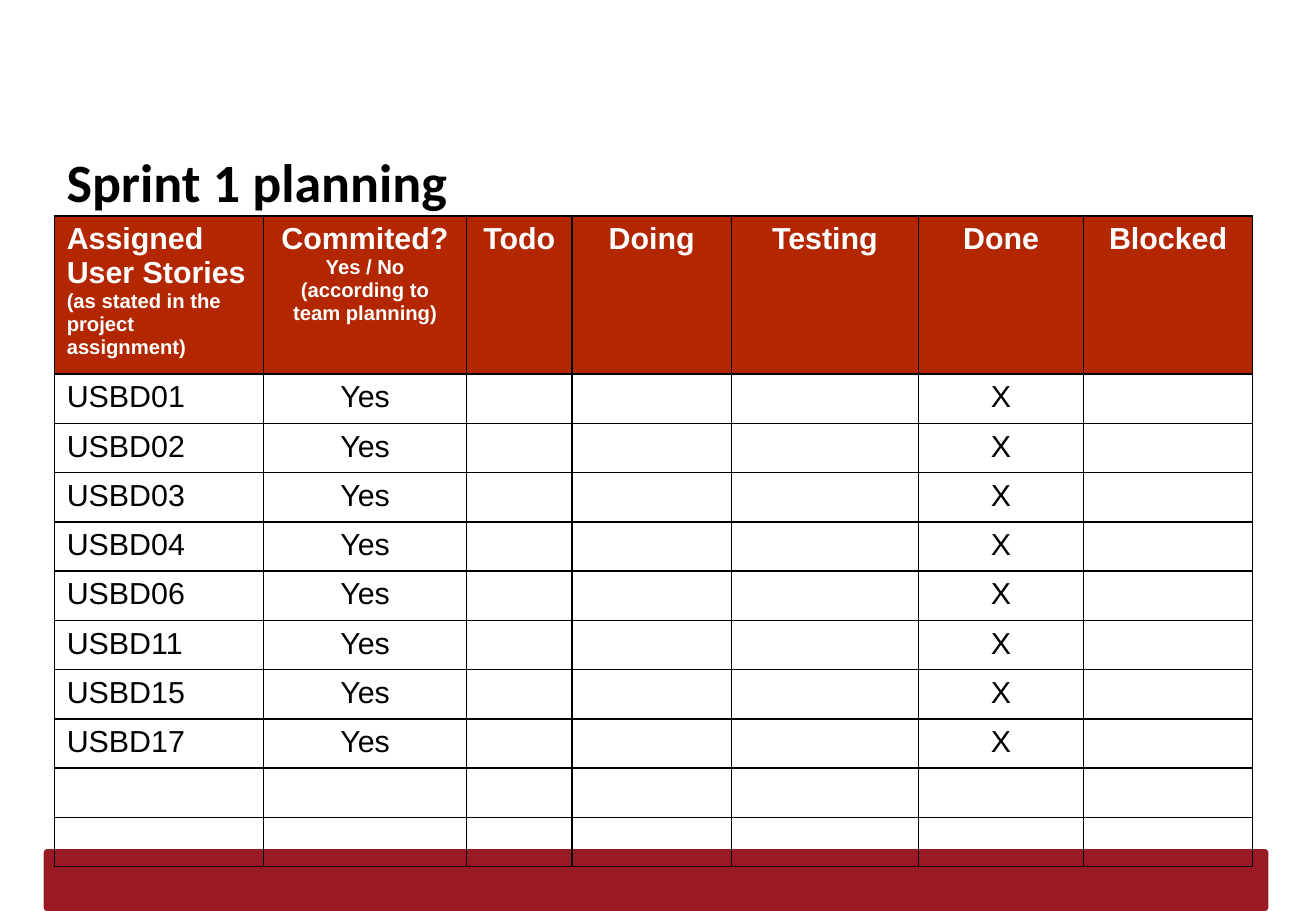
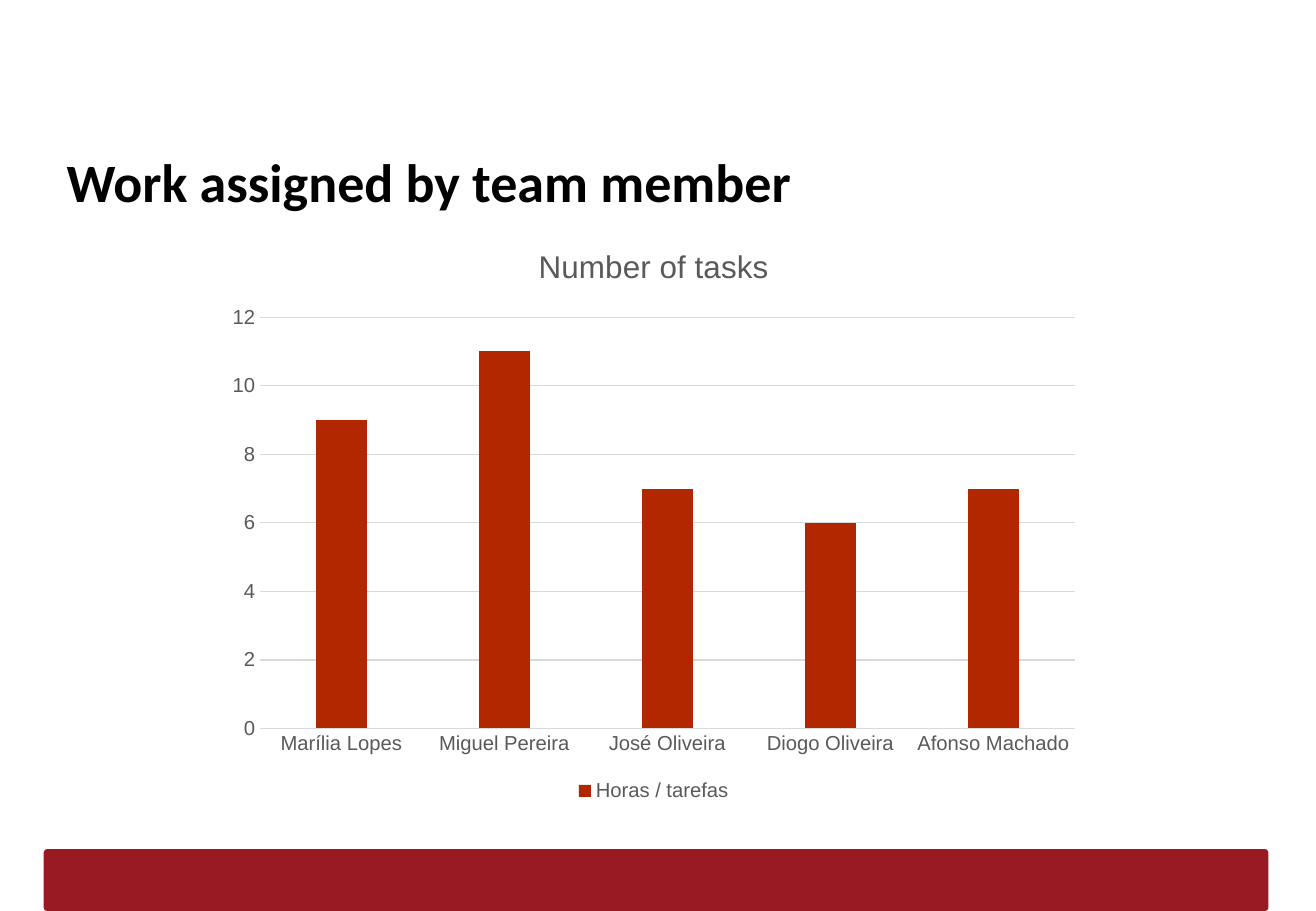
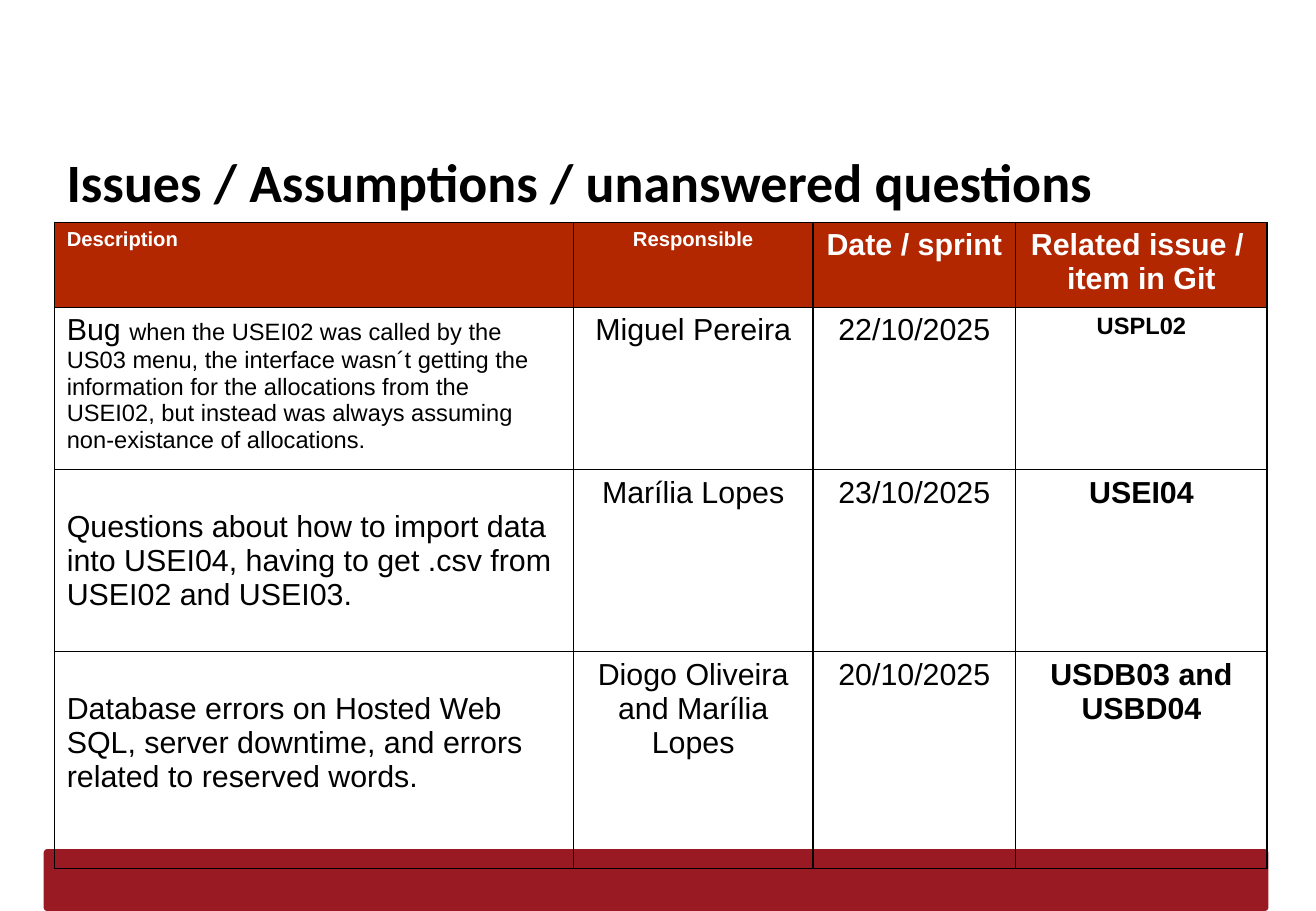
from dataclasses import dataclass

from lxml.etree import SubElement
from pptx import Presentation
from pptx.chart.data import CategoryChartData
from pptx.dml.color import RGBColor
from pptx.enum.chart import XL_CHART_TYPE, XL_LEGEND_POSITION, XL_TICK_MARK
from pptx.enum.shapes import MSO_SHAPE
from pptx.enum.text import PP_ALIGN
from pptx.oxml.ns import qn
from pptx.presentation import Presentation as Deck
from pptx.slide import Slide
from pptx.table import _Cell as TableCell
from pptx.text.text import Font
from pptx.util import Emu, Inches, Pt

WIDTH = Inches(10.83)
HEIGHT = Inches(7.5)
LEFT = 4.15

BAND_RED = RGBColor(0x9A, 0x1A, 0x24)
ACCENT_RED = RGBColor(0xB2, 0x26, 0x00)
BLACK = RGBColor(0x00, 0x00, 0x00)
WHITE = RGBColor(0xFF, 0xFF, 0xFF)
CHART_GREY = RGBColor(0x59, 0x59, 0x59)
GRID_GREY = RGBColor(0xD9, 0xD9, 0xD9)


@dataclass(frozen=True)
class Span:
    text: str
    size: float = 18


@dataclass(frozen=True)
class Entry:
    lines: tuple[tuple[Span, ...], ...] = ()
    bold: bool = False
    top_margin: float = 0.05


@dataclass(frozen=True)
class Grid:
    top: float
    columns: list[float]
    rows: list[float]
    entries: list[list[Entry]]


def across(percent: float) -> Emu:
    return Emu(round(WIDTH * percent / 100))


def down(percent: float) -> Emu:
    return Emu(round(HEIGHT * percent / 100))


def entry(*texts: str, size: float = 18, bold: bool = False, top_margin: float = 0.05) -> Entry:
    return Entry(tuple((Span(text, size),) for text in texts), bold, top_margin)


def style_font(font: Font, size: float, color: RGBColor, bold: bool = False, name: str = "Arial") -> None:
    font.name = name
    font.size = Pt(size)
    font.bold = bold
    font.color.rgb = color


def add_base_slide(presentation: Deck, title: str) -> Slide:
    slide = presentation.slides.add_slide(presentation.slide_layouts[6])
    band = slide.shapes.add_shape(
        MSO_SHAPE.ROUNDED_RECTANGLE, across(3.32), down(93.2), across(93.07), down(6.8)
    )
    band.adjustments[0] = 0.06
    band.shadow.inherit = False
    band.fill.solid()
    band.fill.fore_color.rgb = BAND_RED
    band.line.fill.background()

    frame = slide.shapes.add_textbox(across(LEFT), down(14.93), across(93.07), down(9.87)).text_frame
    frame.word_wrap = True
    frame.margin_left = frame.margin_right = frame.margin_top = frame.margin_bottom = Inches(0.1)
    paragraph = frame.paragraphs[0]
    paragraph.text = title
    style_font(paragraph.font, 32, BLACK, True, "Calibri")
    return slide


def add_borders(cell: TableCell) -> None:
    properties = cell._tc.get_or_add_tcPr()
    for index, side in enumerate(("lnL", "lnR", "lnT", "lnB")):
        line = SubElement(properties, qn(f"a:{side}"), w=str(Pt(1)))
        fill = SubElement(line, qn("a:solidFill"))
        SubElement(fill, qn("a:srgbClr"), val=str(BLACK))
        properties.insert(index, line)


def fill_cell(cell: TableCell, content: Entry, is_header: bool, is_first: bool) -> None:
    color = WHITE if is_header else BLACK
    if is_header:
        cell.fill.solid()
        cell.fill.fore_color.rgb = ACCENT_RED
    else:
        cell.fill.background()
    add_borders(cell)
    cell.margin_top = Inches(content.top_margin)
    frame = cell.text_frame
    for index, spans in enumerate(content.lines):
        paragraph = frame.add_paragraph() if index else frame.paragraphs[0]
        paragraph.alignment = PP_ALIGN.LEFT if is_first else PP_ALIGN.CENTER
        for span in spans:
            run = paragraph.add_run()
            run.text = span.text
            if len(spans) > 1:
                run.font.size = Pt(span.size)
        style_font(paragraph.font, spans[0].size, color, content.bold or is_header)


def add_grid(slide: Slide, grid: Grid) -> None:
    table = slide.shapes.add_table(
        len(grid.rows), len(grid.columns), across(LEFT), down(grid.top),
        across(sum(grid.columns)), down(sum(grid.rows)),
    ).table
    table.horz_banding = False
    for column, width in zip(table.columns, grid.columns):
        column.width = across(width)
    for row, height in zip(table.rows, grid.rows):
        row.height = down(height)
    for row_index, entries in enumerate(grid.entries):
        for column_index, content in enumerate(entries):
            fill_cell(table.cell(row_index, column_index), content, row_index == 0, column_index == 0)


def add_planning(presentation: Deck) -> None:
    slide = add_base_slide(presentation, "Sprint 1 planning")
    header = [
        Entry(((Span("Assigned User Stories "), Span("(as stated in the project assignment)", 12)),)),
        Entry(((Span("Commited?"),), (Span("Yes / No (according to team planning)", 12),))),
        *(entry(state) for state in ("Todo", "Doing", "Testing", "Done", "Blocked")),
    ]
    blank = Entry()
    stories = [
        [entry(f"USBD{number}"), entry("Yes"), blank, blank, blank, entry("X"), blank]
        for number in ("01", "02", "03", "04", "06", "11", "15", "17")
    ]
    spare_rows = [[blank] * len(header)] * 2
    entries = [header, *stories, *spare_rows]
    columns = [15.88, 15.42, 8.03, 12.1, 14.22, 12.56, 12.83]
    add_grid(slide, Grid(23.73, columns, [16.27] + [5.41] * (len(entries) - 1), entries))


def add_workload(presentation: Deck) -> None:
    slide = add_base_slide(presentation, "Work assigned by team member")
    data = CategoryChartData()
    data.categories = ["Marília Lopes", "Miguel Pereira", "José Oliveira", "Diogo Oliveira", "Afonso Machado"]
    data.add_series("Horas / tarefas", (9, 11, 7, 6, 7))
    chart = slide.shapes.add_chart(
        XL_CHART_TYPE.COLUMN_CLUSTERED, across(16.34), down(24.4), across(66.67), down(64.13), data
    ).chart
    style_font(chart.font, 12, CHART_GREY)
    chart.has_title = True
    title = chart.chart_title.text_frame.paragraphs[0]
    title.text = "Number of tasks"
    style_font(title.font, 18.6, CHART_GREY)
    chart.chart_title.include_in_layout = False
    chart.has_legend = True
    chart.legend.position = XL_LEGEND_POSITION.BOTTOM
    chart.legend.include_in_layout = False
    style_font(chart.legend.font, 12, CHART_GREY)

    for axis in (chart.category_axis, chart.value_axis):
        axis.major_tick_mark = axis.minor_tick_mark = XL_TICK_MARK.NONE
        style_font(axis.tick_labels.font, 12, CHART_GREY)
    chart.value_axis.minimum_scale = 0
    chart.value_axis.maximum_scale = 12
    chart.value_axis.major_unit = 2
    chart.value_axis.format.line.fill.background()
    for line in (chart.category_axis.format.line, chart.value_axis.major_gridlines.format.line):
        line.color.rgb = GRID_GREY
        line.width = Pt(0.75)

    plot = chart.plots[0]
    plot.vary_by_categories = False
    plot.gap_width = 219
    plot.overlap = -27
    series_fill = plot.series[0].format.fill
    series_fill.solid()
    series_fill.fore_color.rgb = ACCENT_RED


def add_issues(presentation: Deck) -> None:
    slide = add_base_slide(presentation, "Issues / Assumptions / unanswered questions")
    bug = (
        "when the USEI02 was called by the US03 menu, the interface wasn´t getting the information "
        "for the allocations from the USEI02, but instead was always assuming non-existance of allocations."
    )
    question = "Questions about how to import data into USEI04, having to get .csv from USEI02 and USEI03."
    errors = "Database errors on Hosted Web SQL, server downtime, and errors related to reserved words."
    entries = [
        [
            entry("Description", size=12), entry("Responsible", size=12),
            entry("Date / sprint"), entry("Related issue / ", "item in Git"),
        ],
        [
            Entry(((Span("Bug "), Span(bug, 14)),)), entry("Miguel Pereira"),
            entry("22/10/2025"), entry("USPL02", size=14, bold=True),
        ],
        [
            entry(question, top_margin=0.33), entry("Marília Lopes"),
            entry("23/10/2025"), entry("USEI04", bold=True),
        ],
        [
            entry(errors, top_margin=0.33), entry("Diogo Oliveira and Marília Lopes"),
            entry("20/10/2025"), entry("USDB03 and USBD04", bold=True),
        ],
    ]
    add_grid(slide, Grid(24.4, [39.43, 18.19, 15.42, 19.11], [9.2, 16.8, 20, 23.8], entries))


def main() -> None:
    presentation = Presentation()
    presentation.slide_width = WIDTH
    presentation.slide_height = HEIGHT
    add_planning(presentation)
    add_workload(presentation)
    add_issues(presentation)
    presentation.save("out.pptx")


if __name__ == "__main__":
    main()
